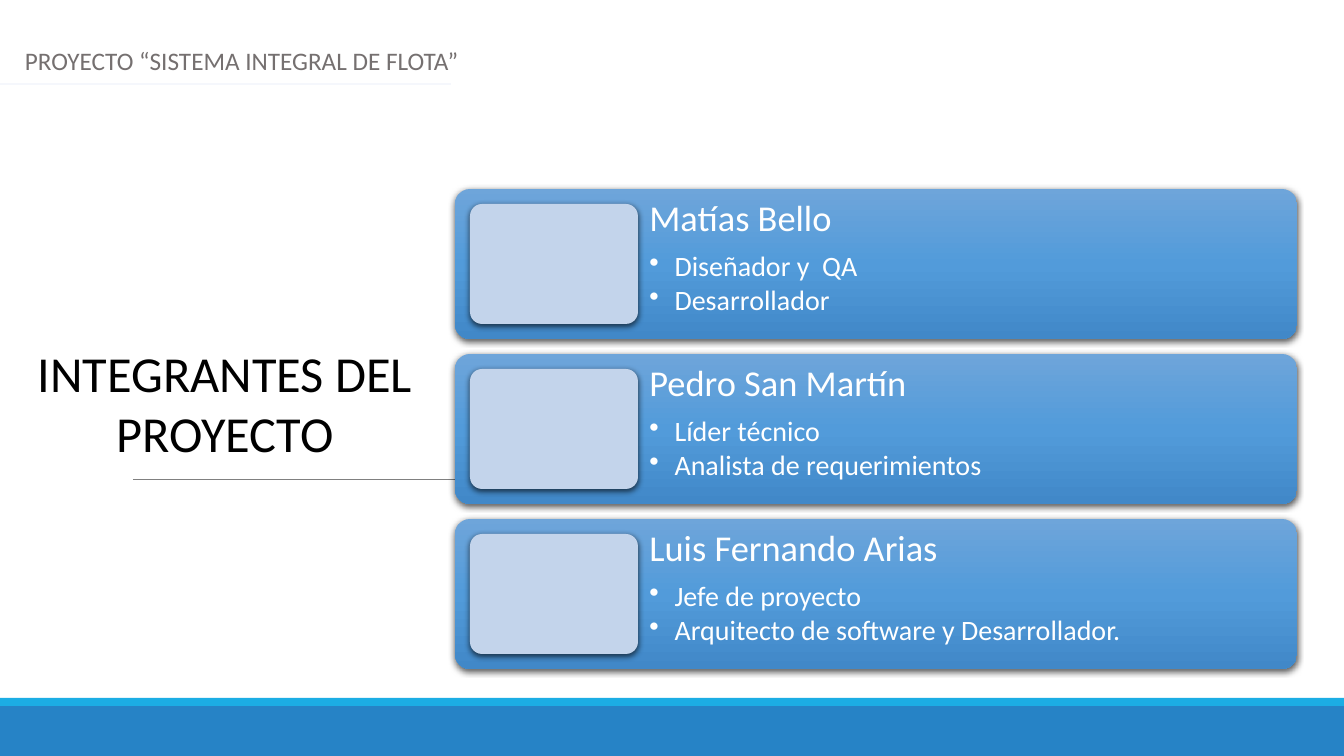
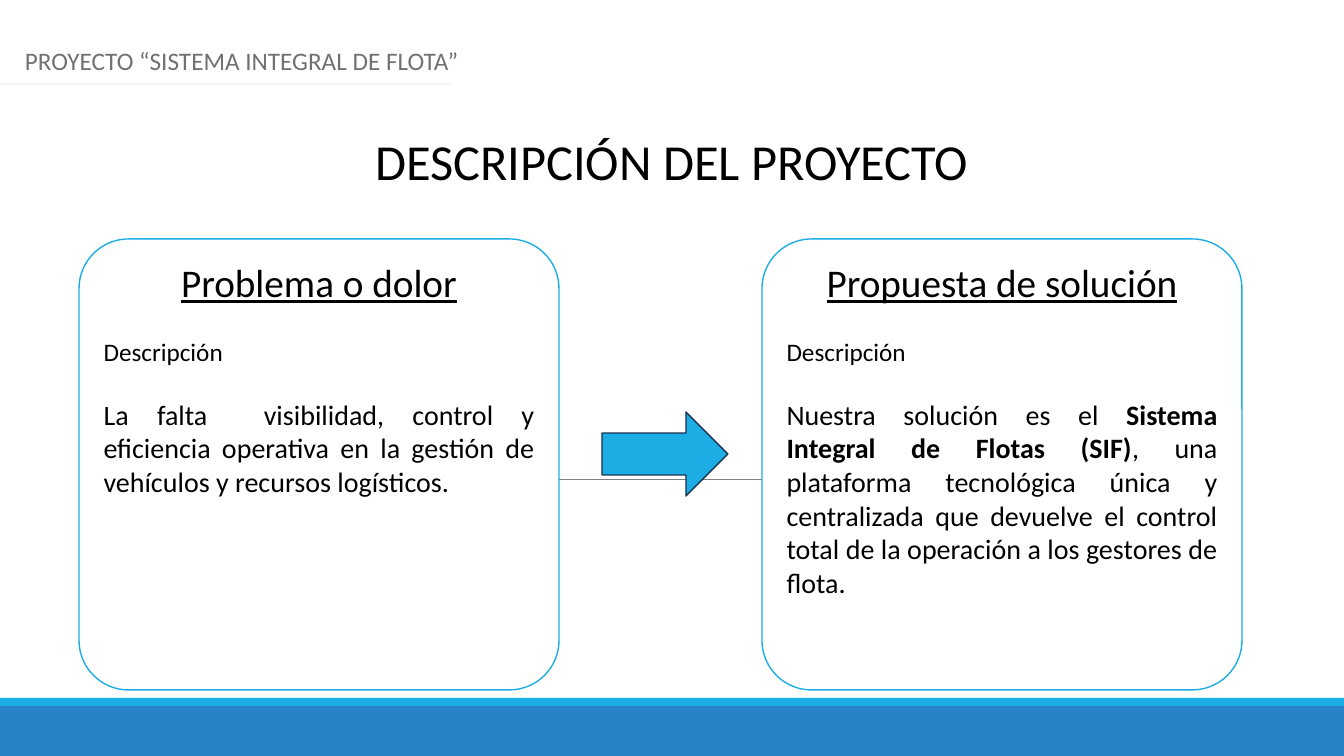
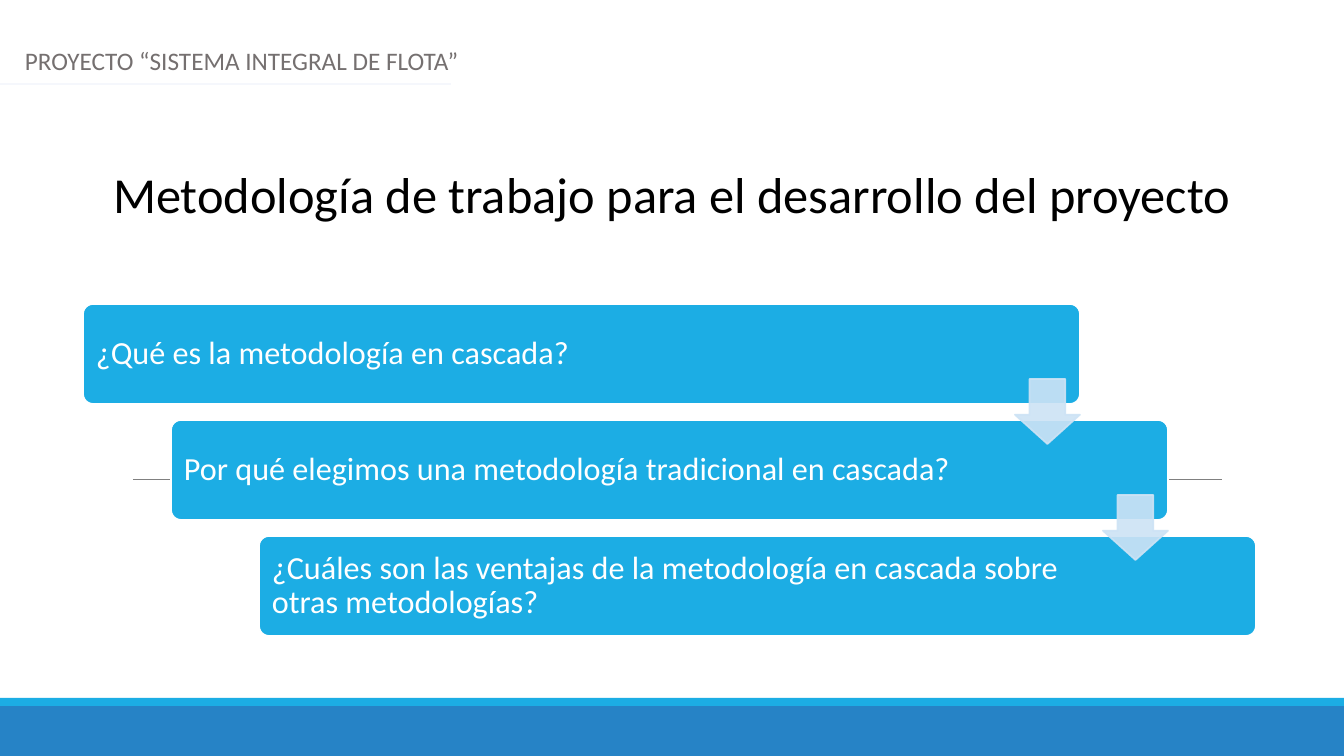
"""Build three slides that present the fleet system project."""
from dataclasses import dataclass

from lxml import etree
from pptx import Presentation
from pptx.dml.color import RGBColor
from pptx.enum.shapes import MSO_CONNECTOR, MSO_SHAPE, PP_PLACEHOLDER
from pptx.enum.text import MSO_ANCHOR, MSO_AUTO_SIZE, PP_ALIGN
from pptx.oxml import parse_xml
from pptx.oxml.ns import nsdecls, qn
from pptx.util import Pt

PX = 12192000 / 1344
WIDE, HIGH = 1344, 756
RECT, ROUND = MSO_SHAPE.RECTANGLE, MSO_SHAPE.ROUNDED_RECTANGLE
RIGHT, DOWN = MSO_SHAPE.RIGHT_ARROW, MSO_SHAPE.DOWN_ARROW
STRAIGHT = MSO_CONNECTOR.STRAIGHT
TITLE = PP_PLACEHOLDER.TITLE
LEFT, CENTER, JUST = PP_ALIGN.LEFT, PP_ALIGN.CENTER, PP_ALIGN.JUSTIFY
TOP, MIDDLE = MSO_ANCHOR.TOP, MSO_ANCHOR.MIDDLE
FIXED = MSO_AUTO_SIZE.NONE


@dataclass(frozen=True)
class Theme:
    font: str = "Calibri"
    white: str = "FFFFFF"
    black: str = "000000"
    gray: str = "757070"
    rule: str = "808080"
    pale: str = "F5F7FC"
    band: str = "2683C6"
    sky: str = "1CADE4"
    navy: str = "1C3052"
    photo: str = "C3D4EB"
    mist: str = "CDE3F5"
    blend: tuple = ((0, "6EA5DA"), (50, "529BDA"), (100, "4188C8"))
    title: int = 36
    head: int = 28
    name: int = 26
    step: int = 23
    body: int = 20
    small: int = 18


T = Theme()
HEADER = "PROYECTO “SISTEMA INTEGRAL DE FLOTA”"
MEMBERS = (
    ("Matías Bello", ("Diseñador y  QA", "Desarrollador")),
    ("Pedro San Martín", ("Líder técnico", "Analista de requerimientos")),
    ("Luis Fernando Arias",
     ("Jefe de proyecto", "Arquitecto de software y Desarrollador.")),
)
CARDS = (
    ("Problema o dolor",
     (("La falta  visibilidad, control y eficiencia operativa en la gestión "
       "de vehículos y recursos logísticos.", False),)),
    ("Propuesta de solución",
     (("Nuestra solución es el ", False),
      ("Sistema Integral de Flotas (SIF)", True),
      (", una plataforma tecnológica única y centralizada que devuelve el "
       "control total de la operación a los gestores de flota.", False))),
)
STEPS = (
    "¿Qué es la metodología en cascada?",
    "Por qué elegimos una metodología tradicional en cascada?",
    "¿Cuáles son las ventajas de la metodología en cascada sobre otras "
    "metodologías?",
)


def emu(*sizes):
    return [round(size * PX) for size in sizes]


def put(item, **values):
    for key, value in values.items():
        setattr(item, key, value)


def para(text, size, color=T.black, under=False, bullet=False, **values):
    runs = ((text, False),) if isinstance(text, str) else text
    return runs, size, color, under, bullet, values


def write(frame, paras, inset=(10, 5, 10, 5), anchor=TOP):
    left, top, right, bottom = emu(*inset)
    put(frame, word_wrap=True, auto_size=FIXED, vertical_anchor=anchor,
        margin_left=left, margin_top=top,
        margin_right=right, margin_bottom=bottom)
    for at, (runs, size, color, under, bullet, values) in enumerate(paras):
        line = frame.add_paragraph() if at else frame.paragraphs[0]
        put(line, **{"alignment": LEFT, **values})
        if bullet:
            props = line._p.get_or_add_pPr()
            props.set("marL", "228600")
            props.set("indent", "-228600")
            etree.SubElement(props, qn("a:buChar")).set("char", "•")
        for text, bold in runs:
            run = line.add_run()
            run.text = text
            put(run.font, name=T.font, size=Pt(size), bold=bold,
                underline=under)
            run.font.color.rgb = RGBColor.from_string(color)


def shape(slide, kind, box, fill=None, edge=None, width=1, adjust=()):
    item = slide.shapes.add_shape(kind, *emu(*box))
    item.shadow.inherit = False
    for at, value in enumerate(adjust):
        item.adjustments[at] = value
    if fill:
        item.fill.solid()
        item.fill.fore_color.rgb = RGBColor.from_string(fill)
    if edge:
        item.line.color.rgb = RGBColor.from_string(edge)
        item.line.width = Pt(width)
    else:
        item.line.fill.background()
    return item


def rule(slide, left, right, y, color, width):
    line = slide.shapes.add_connector(STRAIGHT, *emu(left, y, right, y))
    line.line.color.rgb = RGBColor.from_string(color)
    line.line.width = Pt(width)
    etree.SubElement(line.element.spPr, qn("a:effectLst"))
    return line


def blend(item):
    stops = "".join(
        f'<a:gs pos="{at * 1000}"><a:srgbClr val="{color}"/></a:gs>'
        for at, color in T.blend)
    item.element.spPr.insert(2, parse_xml(
        f'<a:gradFill {nsdecls("a")}><a:gsLst>{stops}</a:gsLst>'
        '<a:lin ang="5400000" scaled="0"/></a:gradFill>'))


def shade(item):
    item.element.spPr.find(qn("a:effectLst")).append(parse_xml(
        f'<a:outerShdw {nsdecls("a")} blurRad="57150" dist="19050" '
        'dir="5400000" algn="ctr" rotWithShape="0">'
        f'<a:srgbClr val="{T.black}"><a:alpha val="63000"/></a:srgbClr>'
        '</a:outerShdw>'))


def fade(item, share):
    for color in item.element.spPr.iter(qn("a:srgbClr")):
        etree.SubElement(color, qn("a:alpha")).set("val", str(share * 1000))


def dress(layout, slide):
    for spot in list(layout.placeholders):
        if spot.placeholder_format.type != TITLE:
            spot.element.getparent().remove(spot.element)
    parts = (
        shape(slide, RECT, (0, 706, WIDE, 50), T.band),
        shape(slide, RECT, (0, 698, WIDE, 8), T.sky),
        rule(slide, 133, 1222, 479, T.rule, 0.5),
    )
    for part in parts:
        layout.shapes.element.append(part.element)


def start(slide, title, box):
    left, top, width, height = emu(*box)
    put(slide.shapes.title, left=left, top=top, width=width, height=height)
    write(slide.shapes.title.text_frame,
          [para(title, T.title, alignment=CENTER)])
    head = slide.shapes.add_textbox(*emu(15, 40, 1300, 40))
    write(head.text_frame, [para(HEADER, T.small, T.gray)])
    rule(slide, 0, 451, 84, T.pale, 1.25)


def member(slide, y, name, roles):
    panel = shape(slide, ROUND, (455, y, 842, 150), adjust=(0.1,))
    blend(panel)
    shade(panel)
    paras = [para(name, T.name, T.white, line_spacing=0.9)]
    for at, role in enumerate(roles):
        paras.append(para(role, T.body, T.white, bullet=True,
                          line_spacing=0.9, space_before=Pt(3 if at else 9)))
    write(panel.text_frame, paras, (190, 7, 7, 7))
    photo = shape(slide, ROUND, (470, y + 15, 168, 120), T.photo,
                  adjust=(0.1,))
    shade(photo)


def card(slide, x, head, body):
    panel = shape(slide, ROUND, (x, 239, 480, 451), T.white, T.sky,
                  adjust=(0.11,))
    gap = Pt(22)
    write(panel.text_frame, [
        para(head, T.head, under=True, alignment=CENTER),
        para("Descripción", T.small, alignment=JUST, space_before=gap),
        para(body, T.body, alignment=JUST, space_before=gap),
    ])


def step(slide, x, y, text):
    panel = shape(slide, ROUND, (x, y, 997, 100), T.sky, T.white, 1.25, (0.1,))
    write(panel.text_frame, [para(text, T.step, T.white, line_spacing=0.9)],
          (10, 10, 163, 10), MIDDLE)


def team(slide):
    start(slide, "INTEGRANTES DEL PROYECTO", (26, 337, 398, 132))
    for at, (name, roles) in enumerate(MEMBERS):
        member(slide, 189 + 165 * at, name, roles)


def pitch(slide):
    start(slide, "DESCRIPCIÓN DEL PROYECTO", (0, 125, WIDE, 72))
    for at, (head, body) in enumerate(CARDS):
        card(slide, 79 + 683 * at, head, body)
    shape(slide, RIGHT, (602, 412, 126, 84), T.sky, T.navy)


def method(slide):
    start(slide, "Metodología de trabajo para el desarrollo del proyecto",
          (0, 158, WIDE, 72))
    for at, text in enumerate(STEPS):
        step(slide, 83 + 88 * at, 304 + 116 * at, text)
    for at in range(len(STEPS) - 1):
        arrow = shape(slide, DOWN, (1015 + 88 * at, 379 + 116 * at, 65, 65),
                      T.mist, T.mist, 1.25, (0.55, 0.45))
        fade(arrow, 90)


def main():
    deck = Presentation()
    deck.slide_width, deck.slide_height = emu(WIDE, HIGH)
    layout = deck.slide_layouts[5]
    for at, build in enumerate((team, pitch, method)):
        slide = deck.slides.add_slide(layout)
        if not at:
            dress(layout, slide)
        build(slide)
    deck.save("out.pptx")


if __name__ == "__main__":
    main()
